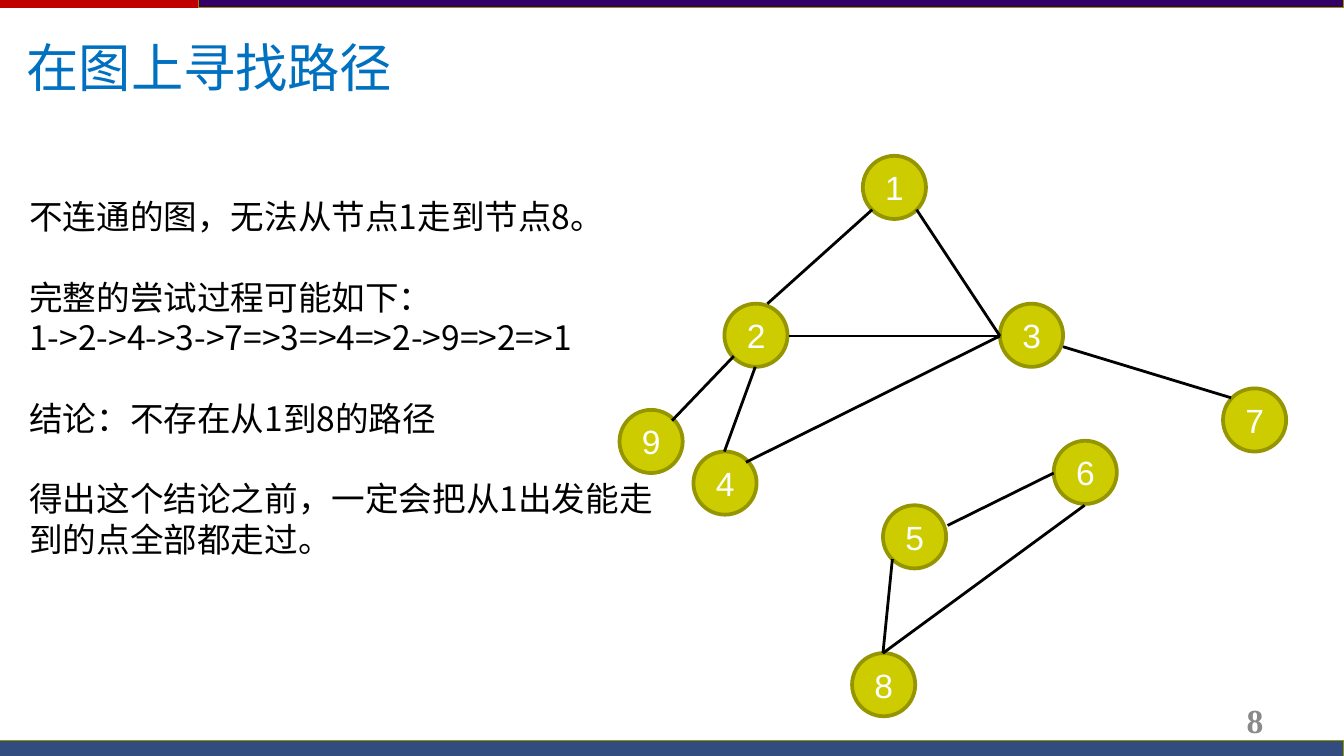
from lxml.etree import SubElement
from pptx import Presentation
from pptx.dml.color import RGBColor
from pptx.enum.shapes import MSO_CONNECTOR, MSO_SHAPE
from pptx.enum.text import MSO_ANCHOR, PP_ALIGN
from pptx.oxml.ns import qn
from pptx.util import Inches, Pt

CJK_FONT = "Noto Sans CJK SC"
HAIRLINE = 0.01
NODE_SIZE = 0.47
NODES = {
    "1": (6.42, 1.16), "2": (5.39, 2.26), "3": (7.44, 2.26),
    "4": (5.16, 3.36), "5": (6.57, 3.76), "6": (7.84, 3.28),
    "7": (9.1, 2.89), "8": (6.34, 4.86), "9": (4.61, 3.05),
}
EDGES = [
    (6.57, 4.86, 6.64, 4.16), (5.71, 2.26, 6.49, 1.56),
    (5.39, 3.36, 5.62, 2.73), (7.44, 2.5, 6.82, 1.56),
    (6.57, 4.86, 8.07, 3.76), (7.84, 3.52, 7.05, 3.91),
    (9.16, 2.96, 7.91, 2.58), (5.55, 3.44, 7.44, 2.5),
    (7.44, 2.5, 5.87, 2.5), (5, 3.13, 5.46, 2.65),
]
EXPLANATION = [
    ("不连通的图，无法从节点1走到节点8。", False),
    ("完整的尝试过程可能如下：", True),
    ("1->2->4->3->7=>3=>4=>2->9=>2=>1", False),
    ("结论：不存在从1到8的路径", True),
    ("得出这个结论之前，一定会把从1出发能走到的点全部都走过。", True),
]


def color(value):
    """Turn a hex string into a colour."""
    return RGBColor.from_string(value)


def style_text(paragraph, size, font, text_color, bold=False):
    """Format every run of a paragraph, East Asian glyphs included."""
    for run in paragraph.runs:
        run.font.size = Pt(size)
        run.font.name = font
        run.font.bold = bold
        run.font.color.rgb = color(text_color)
        SubElement(run.font._element, qn("a:ea")).set("typeface", font)


def add_filled(slide, kind, box, fill, line=None, width=HAIRLINE, alpha=None):
    """Add a filled preset shape without a shadow."""
    shape = slide.shapes.add_shape(kind, *map(Inches, box))
    shape.shadow.inherit = False
    shape.fill.solid()
    shape.fill.fore_color.rgb = color(fill)
    if alpha is not None:
        rgb = shape._element.spPr.find(qn("a:solidFill"))[0]
        SubElement(rgb, qn("a:alpha")).set("val", str(alpha * 1000))
    if line:
        shape.line.color.rgb = color(line)
        shape.line.width = Pt(width)
    else:
        shape.line.fill.background()
    return shape


def add_node(slide, label, left, top):
    """Add a numbered graph node."""
    box = (left, top, NODE_SIZE, NODE_SIZE)
    node = add_filled(slide, MSO_SHAPE.OVAL, box, "CCCC00", "959500", 2)
    text_frame = node.text_frame
    text_frame.text = label
    text_frame.vertical_anchor = MSO_ANCHOR.MIDDLE
    text_frame.paragraphs[0].alignment = PP_ALIGN.CENTER
    style_text(text_frame.paragraphs[0], 18, "Arial", "FFFFFF")


def add_edge(slide, points):
    """Add a straight graph edge."""
    edge = slide.shapes.add_connector(MSO_CONNECTOR.STRAIGHT, *map(Inches, points))
    edge.line.color.rgb = color("000000")
    edge.line.width = Pt(1.5)
    SubElement(edge._element.spPr, qn("a:effectLst"))


def add_text(slide, box, text, anchor=MSO_ANCHOR.TOP):
    """Add a wrapping text box and return its text frame."""
    text_frame = slide.shapes.add_textbox(*map(Inches, box)).text_frame
    text_frame.word_wrap = True
    text_frame.vertical_anchor = anchor
    text_frame.text = text
    return text_frame


def add_bars(slide):
    """Add the coloured bars at the top and bottom edges."""
    rectangle = MSO_SHAPE.RECTANGLE
    add_filled(slide, rectangle, (0, 0, 10, 0.06), "C00000")
    add_filled(slide, rectangle, (1.48, 0, 8.52, 0.06), "330066", "959500")
    add_filled(slide, rectangle, (0, 5.51, 10, 0.12), "002060", "959500", alpha=80)


def add_title(slide):
    """Add the slide title."""
    title = add_text(slide, (0.1, 0.21, 8.75, 0.74), "在图上寻找路径").paragraphs[0]
    style_text(title, 28, CJK_FONT, "0070C0")


def add_page_number(slide):
    """Add the page number above the bottom bar."""
    box = (7.17, 5.21, 2.33, 0.3)
    number = add_text(slide, box, "8", MSO_ANCHOR.MIDDLE).paragraphs[0]
    number.alignment = PP_ALIGN.RIGHT
    style_text(number, 18, "Times New Roman", "898989", bold=True)


def add_explanation(slide):
    """Add the explanation, one line of space before each new block."""
    text = "\n".join(line for line, _ in EXPLANATION)
    text_frame = add_text(slide, (0.12, 1.11, 4.96, 3.4), text, MSO_ANCHOR.MIDDLE)
    for paragraph, (_, starts_block) in zip(text_frame.paragraphs, EXPLANATION):
        paragraph.line_spacing = Pt(21.6)
        if starts_block:
            paragraph.space_before = Pt(21.6)
        style_text(paragraph, 18, CJK_FONT, "000000")


def main():
    """Build and save the slide."""
    presentation = Presentation()
    presentation.slide_width = Inches(10)
    presentation.slide_height = Inches(10) * 9 // 16
    slide = presentation.slides.add_slide(presentation.slide_layouts[6])
    add_bars(slide)
    add_page_number(slide)
    add_title(slide)
    for label, position in NODES.items():
        add_node(slide, label, *position)
    for points in EDGES:
        add_edge(slide, points)
    add_explanation(slide)
    presentation.save("out.pptx")


if __name__ == "__main__":
    main()
